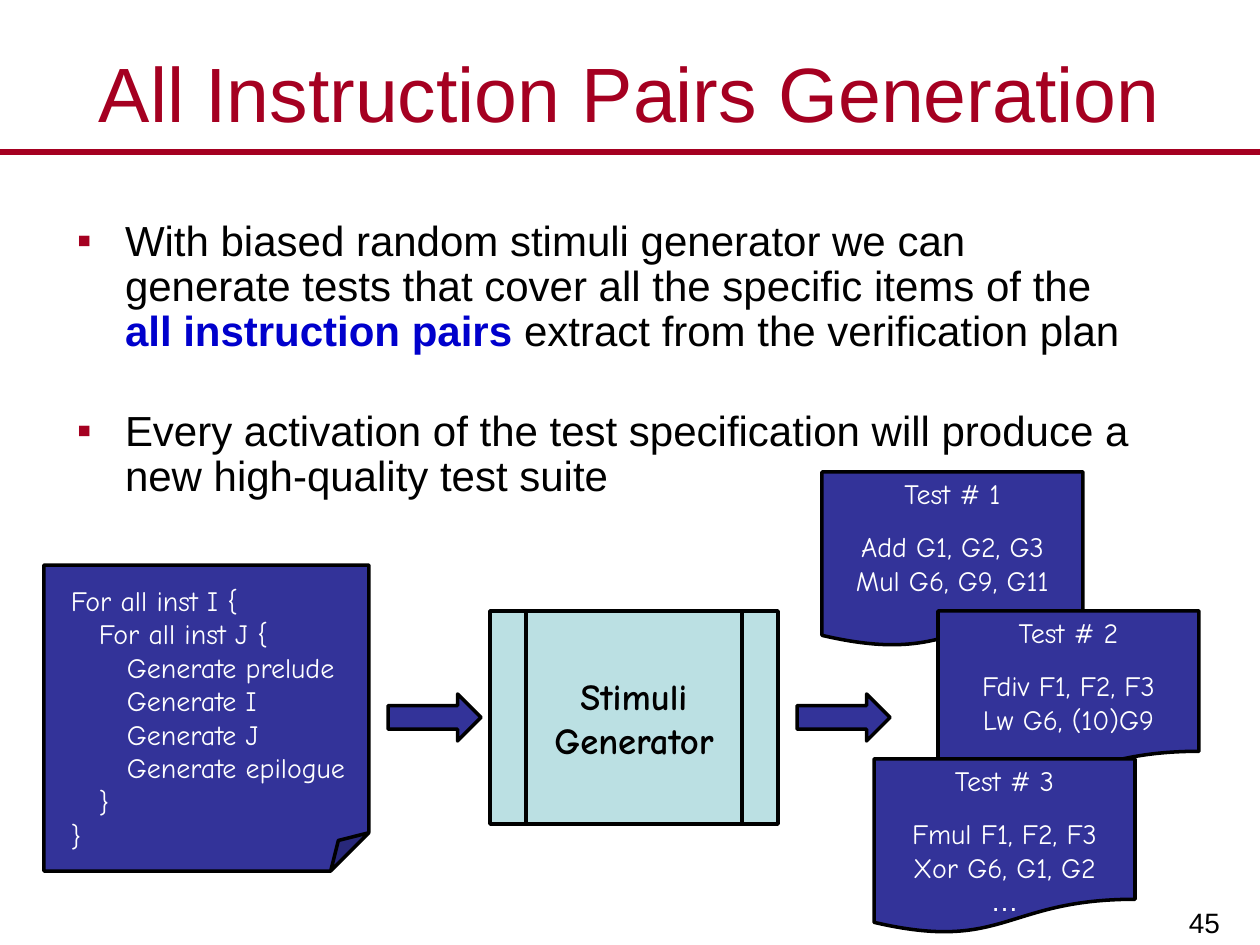
from lxml.etree import SubElement
from pptx import Presentation
from pptx.dml.color import RGBColor
from pptx.enum.shapes import MSO_CONNECTOR, MSO_SHAPE
from pptx.enum.text import MSO_ANCHOR, PP_ALIGN
from pptx.oxml.ns import qn
from pptx.util import Emu, Pt

RED, BLUE, NAVY, TEAL = "A50021", "0000CC", "333399", "BBE0E3"
BLACK, WHITE = "000000", "FFFFFF"
HAND = "Comic Neue"


def px(n):
    """Turn pixels into EMU."""
    return Emu(round(n * 914400 / 126))


def rgb(color):
    """Turn a hex string into a colour."""
    return RGBColor.from_string(color)


def add_run(p, text, size=16, font="Arial", color=BLACK, bold=False):
    """Add a formatted run to a paragraph."""
    r = p.add_run()
    r.text = text
    r.font.size, r.font.name, r.font.bold = Pt(size), font, bold
    r.font.color.rgb = rgb(color)


def add_text(tf, text, first=False, align=PP_ALIGN.LEFT, before=0, indent=0, **fmt):
    """Add a paragraph with one formatted run and return it."""
    p = tf.paragraphs[0] if first else tf.add_paragraph()
    p.alignment, p.space_before = align, Pt(before)
    if indent:
        p._p.get_or_add_pPr().set("marL", str(px(indent)))
    add_run(p, text, **fmt)
    return p


def set_frame(tf, anchor, insets, wrap=True):
    """Set the anchor, the insets and the wrapping of a text frame."""
    tf.vertical_anchor, tf.word_wrap = anchor, wrap
    tf.margin_left, tf.margin_top, tf.margin_right, tf.margin_bottom = map(px, insets)


def add_box(s, box, anchor=MSO_ANCHOR.TOP):
    """Add an empty text box and return its frame."""
    tf = s.shapes.add_textbox(*map(px, box)).text_frame
    set_frame(tf, anchor, (13, 6, 13, 6))
    return tf


def add_block(s, kind, box, fill=NAVY):
    """Add a filled shape with a black outline."""
    sp = s.shapes.add_shape(kind, *map(px, box))
    sp.shadow.inherit = False
    sp.fill.solid()
    sp.fill.fore_color.rgb = rgb(fill)
    sp.line.color.rgb = rgb(BLACK)
    sp.line.width = Pt(2)
    return sp


def add_header(s, box, title):
    """Place the title with the rule below it."""
    x, y, w, h = box
    tf = add_box(s, box, MSO_ANCHOR.MIDDLE)
    add_text(tf, title, first=True, align=PP_ALIGN.CENTER, size=44, color=RED)
    line = s.shapes.add_connector(MSO_CONNECTOR.STRAIGHT, px(x), px(y + h + 6), px(x + w), px(y + h + 6))
    line.line.color.rgb = rgb(RED)
    line.line.width = Pt(3)
    SubElement(line._element.spPr, qn("a:effectLst"))


def add_bullets(s, box, items):
    """Place bulleted paragraphs, each a list of (text, format) runs."""
    tf = add_box(s, box)
    for i, ((text, fmt), *rest) in enumerate(items):
        p = add_text(tf, text, first=i == 0, before=31 if i else 5, indent=48, size=24, **fmt)
        for more, more_fmt in rest:
            add_run(p, more, size=24, **more_fmt)
        p.line_spacing = 0.9
        pPr = p._p.get_or_add_pPr()
        pPr.set("indent", str(-px(48)))
        SubElement(SubElement(pPr, qn("a:buClr")), qn("a:srgbClr"), val=RED)
        SubElement(pPr, qn("a:buFont"), typeface="Arial")
        SubElement(pPr, qn("a:buChar"), char="▪")


def add_code(s, box, lines):
    """Place the test specification, given as (level, text) lines."""
    sp = add_block(s, MSO_SHAPE.FOLDED_CORNER, box)
    guides = sp._element.spPr.find(qn("a:prstGeom")).get_or_add_avLst()
    SubElement(guides, qn("a:gd"), name="adj", fmla="val 12500")
    set_frame(sp.text_frame, MSO_ANCHOR.TOP, (27, 18, 0, 0))
    for i, (level, text) in enumerate(lines):
        add_text(sp.text_frame, text, first=i == 0, indent=28 * level, font=HAND, color=WHITE)


def add_generator(s, box, lines):
    """Place the generator process block."""
    sp = add_block(s, MSO_SHAPE.FLOWCHART_PREDEFINED_PROCESS, box, TEAL)
    set_frame(sp.text_frame, MSO_ANCHOR.MIDDLE, (11, 5, 11, 5), wrap=False)
    for i, text in enumerate(lines):
        add_text(sp.text_frame, text, first=i == 0, align=PP_ALIGN.CENTER, size=21, font=HAND, bold=True)


def add_test(s, box, number, instructions):
    """Place one generated test document."""
    sp = add_block(s, MSO_SHAPE.FLOWCHART_DOCUMENT, box)
    tf = sp.text_frame
    set_frame(tf, MSO_ANCHOR.TOP, (4, 5, 4, 5), wrap=False)
    fmt = {"align": PP_ALIGN.CENTER, "color": WHITE}
    add_text(tf, f"Test # {number}", first=True, font=HAND, **fmt)
    for i, text in enumerate(instructions):
        add_text(tf, text, before=0 if i else 11, font=HAND, **fmt)
    add_text(tf, "…", **fmt)


def add_flow(s, box):
    """Place the flow from specification through generator to tests."""
    x, y = box[:2]
    add_code(s, (x, y + 93, 325, 306), [
        (0, "For all inst I {"), (1, "For all inst J {"),
        (2, "Generate prelude"), (2, "Generate I"), (2, "Generate J"),
        (2, "Generate epilogue"), (1, "}"), (0, "}"),
    ])
    add_generator(s, (x + 446, y + 139, 288, 213), ["Stimuli", "Generator"])
    for dx in (344, 753):
        add_block(s, MSO_SHAPE.RIGHT_ARROW, (x + dx, y + 222, 93, 47))
    tests = [
        (778, 0, ["Add G1, G2, G3", "Mul G6, G9, G11"]),
        (894, 139, ["Fdiv F1, F2, F3", "Lw G6, (10)G9"]),
        (830, 287, ["Fmul F1, F2, F3", "Xor G6, G1, G2"]),
    ]
    for number, (dx, dy, instructions) in enumerate(tests, 1):
        add_test(s, (x + dx, y + dy, 261, 175), number, instructions)


def add_page_number(s, box, number):
    """Place the page number."""
    tf = add_box(s, box, MSO_ANCHOR.BOTTOM)
    add_text(tf, number, first=True, align=PP_ALIGN.RIGHT)


def main():
    """Build the slide and save it."""
    prs = Presentation()
    prs.slide_width, prs.slide_height = px(1260), px(945)
    s = prs.slides.add_slide(prs.slide_layouts[6])
    add_header(s, (0, 38, 1260, 108), "All Instruction Pairs Generation")
    add_page_number(s, (983, 873, 250, 72), "45")
    add_bullets(s, (64, 214, 1090, 319), [
        [("With biased random stimuli generator we can generate tests that cover "
          "all the specific items of the ", {}),
         ("all instruction pairs", {"color": BLUE, "bold": True}),
         (" extract from the verification plan", {})],
        [("Every activation of the test specification will produce a new "
          "high-quality test suite", {})],
    ])
    add_flow(s, (44, 472, 1155, 462))
    prs.save("out.pptx")


if __name__ == "__main__":
    main()
